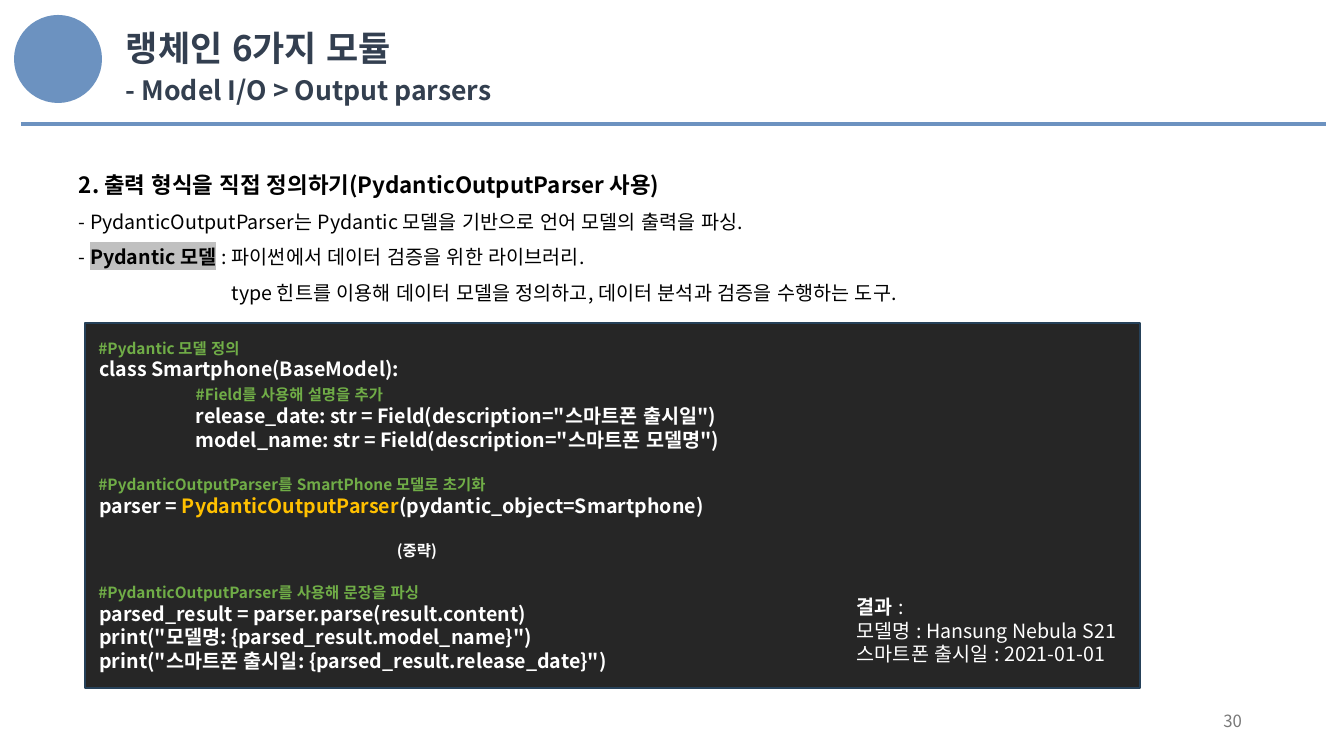
from dataclasses import dataclass
from typing import NamedTuple, Optional

from lxml import etree
from pptx import Presentation
from pptx import util as u
from pptx.dml.color import RGBColor
from pptx.enum import lang, shapes, text
from pptx.oxml import ns

SLIDE_WIDTH, SLIDE_HEIGHT = 1344, 756
EMU_PER_PX = 12192000 / SLIDE_WIDTH

BLUE = RGBColor(0x6C, 0x92, 0xC0)
TITLE_SLATE = RGBColor(0x33, 0x3F, 0x50)
SUBTITLE_SLATE = RGBColor(0x33, 0x3F, 0x4F)
BLACK = RGBColor(0, 0, 0)
WHITE = RGBColor(0xFF, 0xFF, 0xFF)
CODE_BACK = RGBColor(0x26, 0x26, 0x26)
CODE_EDGE = RGBColor(0x26, 0x41, 0x59)
GREEN = RGBColor(0x70, 0xAD, 0x47)
GOLD = RGBColor(0xFF, 0xC0, 0x00)
GRAY = RGBColor(0x79, 0x79, 0x79)
HIGHLIGHT = RGBColor(0xC0, 0xC0, 0xC0)

KOREAN = "Noto Sans CJK KR"
BODY = "Noto Sans CJK SC"


class Piece(NamedTuple):
    content: str
    size: int = 14
    color: RGBColor = BLACK
    bold: bool = False
    font: str = BODY
    highlight: Optional[RGBColor] = None


@dataclass(frozen=True)
class Line:
    pieces: tuple[Piece, ...]
    gap: int = 0
    indent: int = 0
    spacing: float = 1.0
    align: text.PP_ALIGN = text.PP_ALIGN.LEFT


@dataclass(frozen=True)
class TextBlock:
    box: tuple[int, int, int, int]
    lines: tuple[Line, ...]
    anchor: text.MSO_ANCHOR = text.MSO_ANCHOR.TOP


def px(length: int) -> u.Emu:
    return u.Emu(round(length * EMU_PER_PX))


def code(content: str, gap: int = 0) -> Line:
    return Line((Piece(content, color=WHITE, bold=True),), gap)


def comment(content: str, gap: int = 0) -> Line:
    return Line((Piece(content, 11, GREEN, True),), gap)


def body(*pieces: Piece, indent: int = 0) -> Line:
    return Line(pieces, indent=indent, spacing=1.5)


def result(*pieces: Piece) -> Line:
    return Line(pieces)


TEXT_BLOCKS = (
    TextBlock((116, 22, 800, 46), (
        Line((Piece("랭체인 6가지 모듈", 25, TITLE_SLATE, True, KOREAN),)),
    )),
    TextBlock((116, 69, 800, 46), (
        Line((Piece("- Model I/O > Output parsers", 19, SUBTITLE_SLATE, True, KOREAN),)),
    )),
    TextBlock((69, 153, 1223, 154), (
        body(Piece("2. 출력 형식을 직접 정의하기(PydanticOutputParser 사용)", 16, bold=True)),
        body(Piece("- PydanticOutputParser는 Pydantic 모델을 기반으로 언어 모델의 출력을 파싱.")),
        body(
            Piece("- "),
            Piece("Pydantic 모델", bold=True, highlight=HIGHLIGHT),
            Piece(" : 파이썬에서 데이터 검증을 위한 라이브러리."),
        ),
        body(
            Piece("type 힌트를 이용해 데이터 모델을 정의하고, 데이터 분석과 검증을 수행하는 도구."),
            indent=153,
        ),
    )),
    TextBlock((847, 590, 349, 80), (
        result(Piece("결과 ", color=WHITE, bold=True), Piece(":", color=WHITE)),
        result(Piece("모델명 : Hansung Nebula S21", color=WHITE)),
        result(Piece("스마트폰 출시일 : 2021-01-01", color=WHITE)),
    )),
    TextBlock((950, 701, 302, 40), (
        Line((Piece("30", 12, GRAY),), align=text.PP_ALIGN.RIGHT),
    ), text.MSO_ANCHOR.MIDDLE),
)

CODE_BOX = (85, 323, 1055, 365)
BLANK_LINE = 17
CODE_LINES = (
    comment(" #Pydantic 모델 정의"),
    code(" class Smartphone(BaseModel):"),
    Line((
        Piece("\t", color=WHITE, bold=True),
        Piece("#Field를 사용해 설명을 추가", 11, GREEN, True),
    )),
    code('\trelease_date: str = Field(description="스마트폰 출시일")'),
    code('\tmodel_name: str = Field(description="스마트폰 모델명")'),
    comment(" #PydanticOutputParser를 SmartPhone 모델로 초기화", BLANK_LINE),
    Line((
        Piece(" parser = ", color=WHITE, bold=True),
        Piece("PydanticOutputParser", color=GOLD, bold=True),
        Piece("(pydantic_object=Smartphone)", color=WHITE, bold=True),
    )),
    Line((Piece("(중략)", 11, WHITE, True),), BLANK_LINE, indent=302),
    comment(" #PydanticOutputParser를 사용해 문장을 파싱", BLANK_LINE),
    code(" parsed_result = parser.parse(result.content)"),
    code(' print("모델명: {parsed_result.model_name}")'),
    code(' print("스마트폰 출시일: {parsed_result.release_date}")'),
)


def add_run(paragraph, content: str, *, size: int, color: RGBColor, bold: bool,
            font: str, highlight: Optional[RGBColor]) -> None:
    run = paragraph.add_run()
    run.text = content
    run.font.size = u.Pt(size)
    run.font.bold = bold
    run.font.language_id = lang.MSO_LANGUAGE_ID.KOREAN
    run.font.color.rgb = color
    properties = run.font._element
    if highlight is not None:
        marker = etree.SubElement(properties, ns.qn("a:highlight"))
        etree.SubElement(marker, ns.qn("a:srgbClr"), val=str(highlight))
    run.font.name = font
    etree.SubElement(properties, ns.qn("a:ea"), typeface=font)


def write_lines(frame, lines: tuple[Line, ...]) -> None:
    for index, line in enumerate(lines):
        paragraph = frame.add_paragraph() if index else frame.paragraphs[0]
        paragraph.alignment = line.align
        paragraph.line_spacing = line.spacing
        properties = paragraph._p.get_or_add_pPr()
        properties.set("defTabSz", str(u.Inches(1)))
        if line.gap:
            paragraph.space_before = u.Pt(line.gap)
        if line.indent:
            properties.set("marL", str(px(line.indent)))
        for piece in line.pieces:
            add_run(paragraph, **piece._asdict())


def add_text_block(slide, block: TextBlock) -> None:
    frame = slide.shapes.add_textbox(*map(px, block.box)).text_frame
    frame.word_wrap = True
    frame.vertical_anchor = block.anchor
    write_lines(frame, block.lines)


def add_filled_shape(slide, kind: shapes.MSO_SHAPE, box: tuple[int, int, int, int],
                     fill: RGBColor, edge: Optional[RGBColor] = None):
    shape = slide.shapes.add_shape(kind, *map(px, box))
    shape.shadow.inherit = False
    shape.fill.solid()
    shape.fill.fore_color.rgb = fill
    if edge is None:
        shape.line.fill.background()
    else:
        shape.line.color.rgb = edge
        shape.line.width = u.Pt(1)
    return shape


def add_header_rule(slide) -> None:
    rule = slide.shapes.add_connector(
        shapes.MSO_CONNECTOR.STRAIGHT, px(21), px(124), px(1326), px(124))
    rule.line.color.rgb = BLUE
    rule.line.width = u.Pt(3)
    etree.SubElement(rule._element.spPr, ns.qn("a:effectLst"))


def main() -> None:
    presentation = Presentation()
    presentation.slide_width = px(SLIDE_WIDTH)
    presentation.slide_height = px(SLIDE_HEIGHT)
    slide = presentation.slides.add_slide(presentation.slide_layouts[6])
    add_filled_shape(slide, shapes.MSO_SHAPE.OVAL, (14, 15, 88, 88), BLUE)
    add_header_rule(slide)
    panel = add_filled_shape(slide, shapes.MSO_SHAPE.RECTANGLE, CODE_BOX, CODE_BACK, CODE_EDGE)
    panel.text_frame.word_wrap = True
    panel.text_frame.vertical_anchor = text.MSO_ANCHOR.MIDDLE
    write_lines(panel.text_frame, CODE_LINES)
    for block in TEXT_BLOCKS:
        add_text_block(slide, block)
    presentation.save("out.pptx")


if __name__ == "__main__":
    main()
